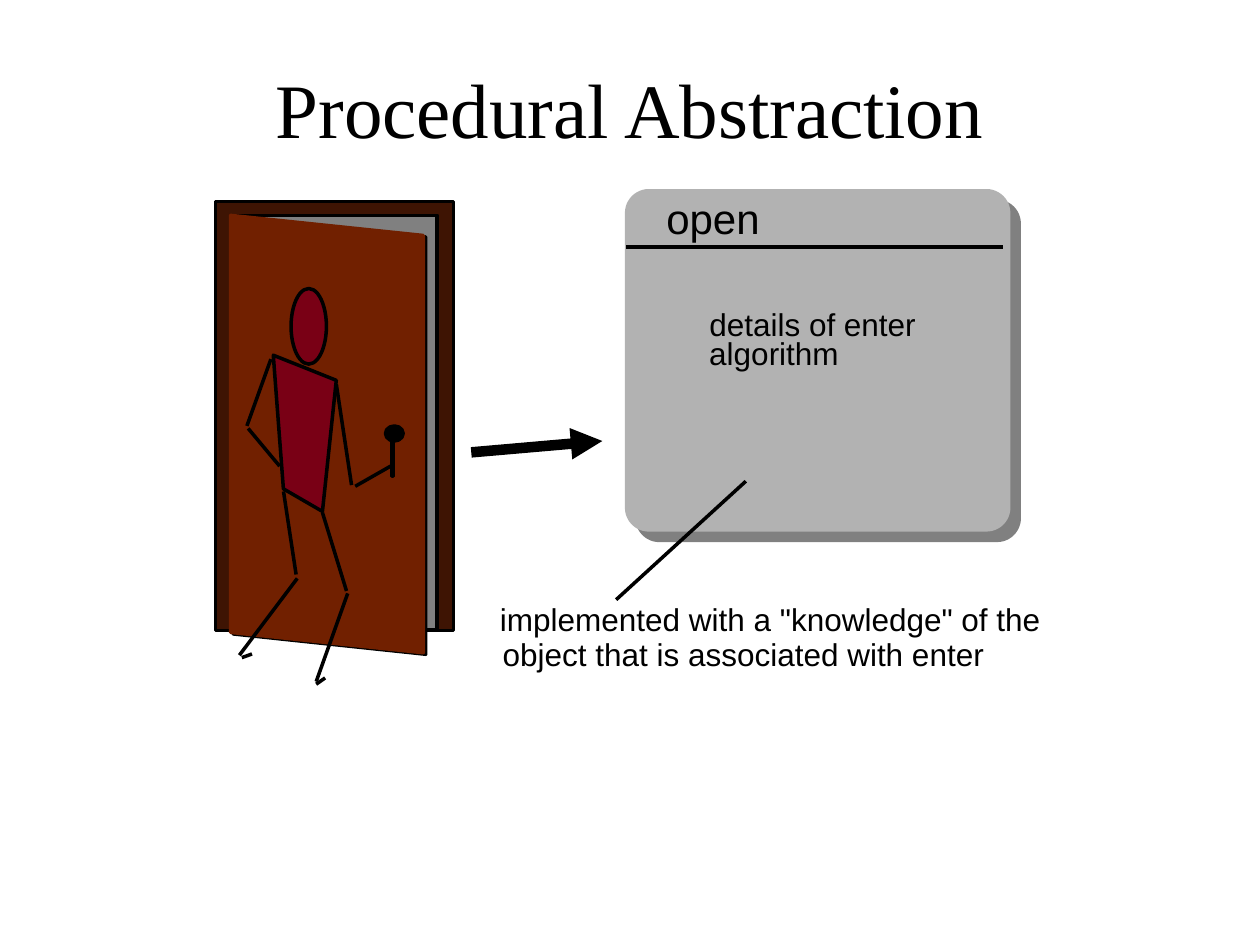
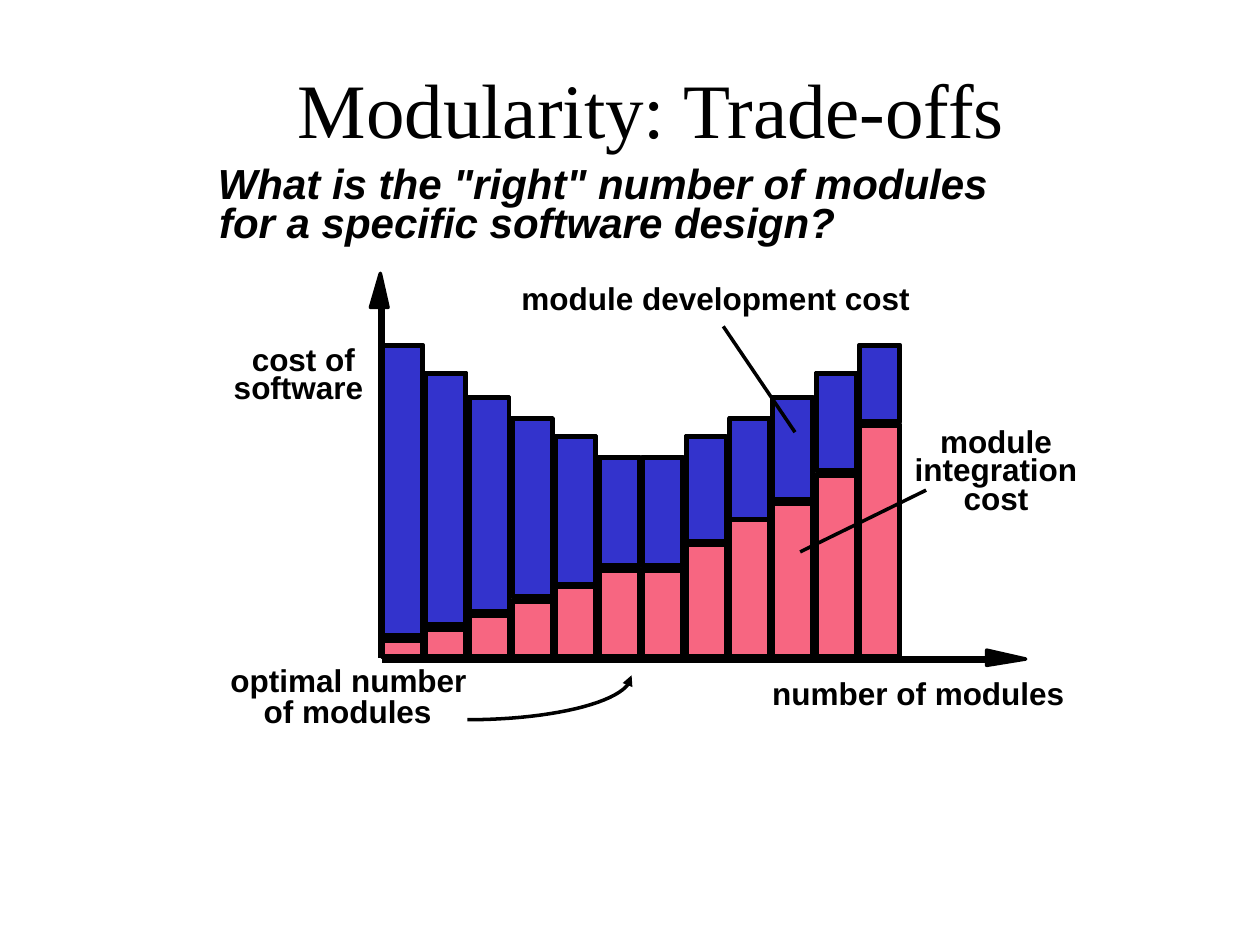
import math
from lxml import etree
from pptx import Presentation
from pptx import util as u
from pptx.dml.color import RGBColor
from pptx.enum import shapes, text
from pptx.oxml import ns

BLACK = RGBColor(0x00, 0x00, 0x00)
GRAY = RGBColor(0x80, 0x80, 0x80)
CARD_GRAY = RGBColor(0xB2, 0xB2, 0xB2)
FRAME_BROWN = RGBColor(0x3E, 0x14, 0x03)
DOOR_BROWN = RGBColor(0x71, 0x20, 0x00)
MAROON = RGBColor(0x79, 0x00, 0x15)
BLUE = RGBColor(0x33, 0x33, 0xCC)
PINK = RGBColor(0xF7, 0x66, 0x81)

RECT = shapes.MSO_SHAPE.RECTANGLE
OVAL = shapes.MSO_SHAPE.OVAL
ROUNDED = shapes.MSO_SHAPE.ROUNDED_RECTANGLE

TITLES = [("Procedural Abstraction", 151.2), ("Modularity: Trade-offs", 163.4)]

DOOR = [(131.8, 123.1), (241.9, 134.6), (241.9, 373), (131.8, 361.4)]
DOOR_SHADE = [(x + 1.4, y + 0.9) for x, y in DOOR]
TORSO = [(156.2, 203), (192.2, 217.4), (184.3, 292.3), (162, 279.4)]
LIMBS = [
    ((192.2, 219.6), (200.9, 277.2)),
    ((203, 277.9), (223.2, 266.4)),
    ((154.8, 205.2), (141.1, 243.4)),
    ((141.8, 244.8), (159.8, 266.4)),
    ((184.3, 293), (198, 337.7)),
    ((198.7, 339.1), (180.7, 389.5)),
    ((180.7, 391), (185.8, 387.4)),
    ((162, 280.8), (169.2, 328.3)),
    ((169.9, 330.5), (136.8, 374.4)),
    ((138.2, 375.8), (144, 373.7)),
]
CARD_TEXTS = [
    ("open", 373.7, 106.6, 67.7, 24),
    ('implemented with a "knowledge" of the', 278.6, 339.1, 333.4, 18),
    ("object that is associated with enter", 280.1, 359.3, 289.4, 18),
    ("details of enter", 398.2, 170.6, 137.5, 18),
    ("algorithm", 398.2, 187.2, 88.6, 18),
]

QUESTION = [
    ('What is the "right" number of modules', 117.4, 86.4, 460.8),
    ("for a specific software design?", 118.1, 108.7, 366.5),
]
CHART_TEXTS = [
    ("optimal number", 124.6, 374.4, 156),
    ("of modules", 143.6, 391.7, 120),
    ("cost of", 136.8, 190.8, 80),
    ("software", 126.5, 206.6, 94),
    ("number of modules", 434.2, 381.6, 186),
    ("module development cost", 290.9, 156.2, 241.2),
]
BAR_LEFT, BAR_STEP, BAR_WIDTH, BASELINE = 218.9, 24.8, 22, 375
BARS = [
    (198, 362.9, 366.5),
    (213.8, 356.4, 360),
    (227.5, 349.2, 352.1),
    (239.8, 340.6, 344.2),
    (249.8, 333.4, 335.5),
    (262.1, 322.6, 326.2),
    (262.1, 322.6, 326.2),
    (249.8, 308.9, 311.8),
    (239.8, 296.6, 297.4),
    (227.5, 285.1, 288),
    (213.8, 268.6, 272.2),
    (198, 240.5, 243.4),
]
AXES = [
    ((218.2, 376.6), (563, 376.6),
     [(586.1, 376.6), (563.8, 380.2), (563.8, 371.5)]),
    ((218.2, 375.8), (218.2, 175),
     [(217.4, 156.2), (221.8, 175.7), (211.7, 175.7)]),
]
POINTERS = [((413.3, 186.5), (454.3, 247)), ((529.2, 280.1), (457.2, 315.4))]
CURVE_CENTER, CURVE_RADII = (267.1, 385.9), (93.8, 25.4)


def paint(shape, fill, line, width=2):
    shape.shadow.inherit = False
    if fill is None:
        shape.fill.background()
    else:
        shape.fill.solid()
        shape.fill.fore_color.rgb = fill
    if line is None:
        shape.line.fill.background()
    else:
        shape.line.color.rgb = line
        shape.line.width = u.Pt(width)
    return shape


def add_box(page, kind, left, top, width, height, fill, line=BLACK):
    box = page.shapes.add_shape(
        kind, u.Pt(left), u.Pt(top), u.Pt(width), u.Pt(height))
    return paint(box, fill, line)


def add_outline(page, points, fill=None, line=BLACK, close=True):
    corners = [(u.Pt(x), u.Pt(y)) for x, y in points]
    builder = page.shapes.build_freeform(*corners[0], scale=1.0)
    builder.add_line_segments(corners[1:], close=close)
    return paint(builder.convert_to_shape(), fill, line)


def add_arrowhead(shape, end):
    line = shape.line._get_or_add_ln()
    etree.SubElement(line, ns.qn("a:" + end), type="triangle")


def add_line(page, start, finish, width=2):
    line = page.shapes.add_connector(
        shapes.MSO_CONNECTOR.STRAIGHT, *(u.Pt(v) for v in start + finish))
    line.line.color.rgb = BLACK
    line.line.width = u.Pt(width)
    etree.SubElement(line._element.spPr, ns.qn("a:effectLst"))
    return line


def add_text(page, words, left, top, width, size, height=None, font="Arial",
             bold=False, italic=False, centered=False, spacing=None,
             insets=(7.2, 3.6)):
    box = page.shapes.add_textbox(
        u.Pt(left), u.Pt(top), u.Pt(width), u.Pt(height or size * 1.2 + 7.2))
    frame = box.text_frame
    frame.word_wrap = False
    frame.margin_left = frame.margin_right = u.Pt(insets[0])
    frame.margin_top = frame.margin_bottom = u.Pt(insets[1])
    frame.text = words
    for para in frame.paragraphs:
        if centered:
            para.alignment = text.PP_ALIGN.CENTER
        if spacing:
            para.line_spacing = spacing
        for span in para.runs:
            span.font.name = font
            span.font.size = u.Pt(size)
            span.font.bold = bold
            span.font.italic = italic
            span.font.color.rgb = BLACK


def add_page(deck, title, left):
    page = deck.slides.add_slide(deck.slide_layouts[6])
    add_text(page, title, left, 33.1, 417.6, 44, height=56.9,
             font="Times New Roman", centered=True, insets=(5, 2.2))
    return page


def add_card_shadow(card):
    effects = card._element.spPr.find(ns.qn("a:effectLst"))
    shadow = etree.SubElement(
        effects, ns.qn("a:outerShdw"), dist=str(u.Pt(8.5)), dir="2700000",
        algn="ctr", rotWithShape="0")
    etree.SubElement(shadow, ns.qn("a:srgbClr"), val=str(GRAY))


def draw_door(page):
    add_box(page, RECT, 123.1, 115.2, 136.1, 245, FRAME_BROWN)
    add_box(page, RECT, 131.8, 123.1, 118.1, 236.9, GRAY)
    add_outline(page, DOOR_SHADE)
    add_outline(page, DOOR, DOOR_BROWN, DOOR_BROWN)
    add_box(page, OVAL, 220.3, 243.4, 10.1, 8.6, BLACK)
    add_box(page, RECT, 223.9, 251.3, 0.7, 20.9, BLACK)


def draw_person(page):
    add_box(page, OVAL, 166.3, 164.9, 20.2, 43.2, MAROON)
    add_outline(page, TORSO, MAROON)
    for start, finish in LIMBS:
        add_line(page, start, finish)


def draw_card(page):
    card = add_box(page, ROUNDED, 357.1, 108, 220.3, 195.8, CARD_GRAY, None)
    card.adjustments[0] = 0.07
    add_card_shadow(card)
    add_line(page, (357.8, 141.1), (573.1, 141.1))
    add_line(page, (426.2, 275), (352.1, 342.7))
    for words, left, top, width, size in CARD_TEXTS:
        add_text(page, words, left, top, width, size)


def draw_bars(page):
    for index, (top, development_end, integration_top) in enumerate(BARS):
        left = BAR_LEFT + index * BAR_STEP
        for start, finish, fill in ((top, development_end, BLUE),
                                    (integration_top, BASELINE, PINK)):
            height = finish - start
            add_box(page, RECT, left, start, BAR_WIDTH, height, fill)
            add_box(page, RECT, left - 0.9, start - 0.9,
                    BAR_WIDTH + 1.7, height + 1.7, None)


def draw_axes(page):
    for start, finish, head in AXES:
        add_outline(page, head, BLACK)
        add_line(page, start, finish, 4)


def draw_optimum_arrow(page):
    steps = 24
    angles = [math.pi / 2 * step / steps for step in range(steps + 1)]
    points = [(CURVE_CENTER[0] + CURVE_RADII[0] * math.cos(angle),
               CURVE_CENTER[1] + CURVE_RADII[1] * math.sin(angle))
              for angle in angles]
    add_arrowhead(add_outline(page, points, close=False), "headEnd")


def main():
    deck = Presentation()
    deck.slide_width, deck.slide_height = u.Pt(720), u.Pt(540)
    abstraction, modularity = [add_page(deck, *title) for title in TITLES]

    add_arrowhead(
        add_line(abstraction, (269.3, 258.5), (344.2, 252), 6), "tailEnd")
    draw_door(abstraction)
    draw_person(abstraction)
    draw_card(abstraction)

    for words, left, top, width in QUESTION:
        add_text(modularity, words, left, top, width, 24,
                 bold=True, italic=True)
    draw_bars(modularity)
    draw_axes(modularity)
    for words, left, top, width in CHART_TEXTS:
        add_text(modularity, words, left, top, width, 18, bold=True)
    add_text(modularity, "module\nintegration\ncost", 515.5, 242.6, 107.3, 18,
             height=55.4, bold=True, centered=True, spacing=0.75)
    for start, finish in POINTERS:
        add_line(modularity, start, finish)
    draw_optimum_arrow(modularity)

    deck.save("out.pptx")


if __name__ == "__main__":
    main()
